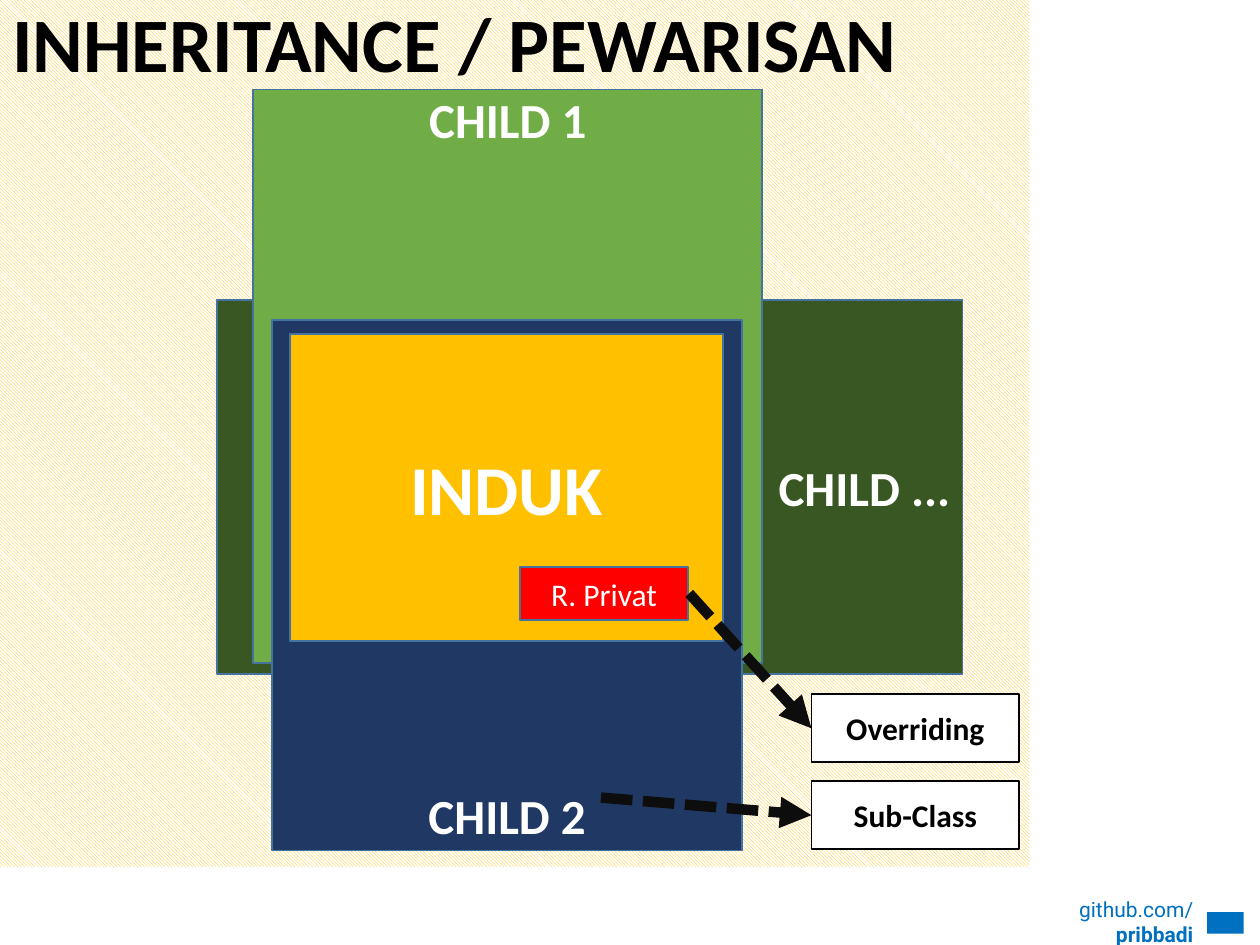
"""Draw the inheritance diagram slide of overlapping class boxes."""
from dataclasses import dataclass, field
from typing import Optional

from lxml.etree import SubElement
from pptx import Presentation
from pptx.dml.color import RGBColor
from pptx.enum.dml import MSO_LINE, MSO_PATTERN
from pptx.enum.shapes import MSO_CONNECTOR as Connector, MSO_SHAPE as Shape
from pptx.enum.text import MSO_ANCHOR as Anchor, PP_ALIGN as Align
from pptx.oxml.ns import qn
from pptx.util import Inches, Pt

COLUMNS, ROWS = 100, 75
WIDTH, HEIGHT = Inches(10), Inches(7.5)
COLORS = {
    "white": "FFFFFF", "black": "000000", "ink": "0D0D0D",
    "amber": "FFC000", "red": "FF0000", "blue": "0070C0",
    "forest": "385723", "leaf": "70AD47", "navy": "203864", "edge": "43739E",
}


@dataclass
class Span:
    text: str
    size: float
    color: str = "white"
    bold: bool = True
    font: str = "Calibri"


@dataclass
class Box:
    column: float
    row: float
    columns: float
    rows: float
    fill: str
    line: Optional[str] = "edge"
    spans: list[Span] = field(default_factory=list)
    align: Align = Align.CENTER
    anchor: Anchor = Anchor.MIDDLE
    inset: float = 0.5
    spacing: float = 1.0
    pattern: Optional[MSO_PATTERN] = None


@dataclass
class Arrow:
    start: tuple[float, float]
    end: tuple[float, float]


def across(columns: float) -> int:
    """Turn grid columns into a length."""
    return round(WIDTH * columns / COLUMNS)


def down(rows: float) -> int:
    """Turn grid rows into a length."""
    return round(HEIGHT * rows / ROWS)


def rgb(name: str) -> RGBColor:
    """Look up a named colour."""
    return RGBColor.from_string(COLORS[name])


def apply(target: object, values: dict) -> None:
    """Set each format value on the target."""
    for name, value in values.items():
        setattr(target, name, value)


def label() -> dict:
    """Give the format of a white note with a black edge."""
    return {"columns": 16.5, "rows": 5.4, "fill": "white", "line": "black"}


def draw_box(page, box: Box) -> None:
    """Draw one rectangle with its text."""
    shape = page.shapes.add_shape(
        Shape.RECTANGLE, across(box.column), down(box.row), across(box.columns), down(box.rows))
    shape.shadow.inherit = False
    if box.pattern:
        shape.fill.patterned()
        shape.fill.pattern = box.pattern
        shape.fill.fore_color.rgb = rgb(box.fill)
        shape.fill.back_color.rgb = rgb("white")
    else:
        shape.fill.solid()
        shape.fill.fore_color.rgb = rgb(box.fill)
    if box.line:
        shape.line.color.rgb = rgb(box.line)
        shape.line.width = Pt(1)
    else:
        shape.line.fill.background()
    frame = shape.text_frame
    apply(frame, {
        "word_wrap": True, "vertical_anchor": box.anchor,
        "margin_left": across(1), "margin_right": across(1),
        "margin_top": down(box.inset), "margin_bottom": down(box.inset)})
    para = frame.paragraphs[0]
    apply(para, {"alignment": box.align, "line_spacing": box.spacing})
    for span in box.spans:
        run = para.add_run()
        run.text = span.text
        apply(run.font, {"name": span.font, "size": Pt(span.size), "bold": span.bold})
        run.font.color.rgb = rgb(span.color)


def draw_arrow(page, arrow: Arrow) -> None:
    """Draw one thick dashed arrow."""
    (left, top), (right, bottom) = arrow.start, arrow.end
    link = page.shapes.add_connector(
        Connector.STRAIGHT, across(left), down(top), across(right), down(bottom))
    link.line.color.rgb = rgb("ink")
    apply(link.line, {"width": Pt(6), "dash_style": MSO_LINE.SQUARE_DOT})
    SubElement(link.line._get_or_add_ln(), qn("a:tailEnd"), type="triangle")
    SubElement(link._element.spPr, qn("a:effectLst"))


BOXES = [
    Box(79, 71.5, 16.7, 3.3, "white", None,
        [Span("github.com/", 12, "blue", False, "Roboto"),
         Span("pribbadi", 12, "blue", True, "Roboto")], Align.RIGHT),
    Box(95.8, 72.4, 2.9, 1.7, "blue", None),
    Box(0, 0, 81.7, 68.8, "amber", None, [Span("INHERITANCE / PEWARISAN", 44, "black")],
        Align.LEFT, Anchor.TOP, spacing=0.9, pattern=MSO_PATTERN.LIGHT_DOWNWARD_DIAGONAL),
    Box(17.2, 23.8, 59.2, 29.7, "forest", spans=[Span("CHILD ...", 28)], align=Align.RIGHT),
    Box(20.1, 7.1, 40.4, 45.5, "leaf", spans=[Span("CHILD 1", 28)], anchor=Anchor.TOP, inset=0),
    Box(21.6, 25.4, 37.3, 42.1, "navy", spans=[Span("CHILD 2", 28)], anchor=Anchor.BOTTOM),
    Box(23, 26.5, 34.4, 24.4, "amber", spans=[Span("INDUK", 40)]),
    Box(41.3, 45, 13.3, 4.2, "red", spans=[Span("R. Privat", 18, bold=False)]),
    Box(64.4, 55.1, spans=[Span("Overriding", 18, "black")], **label()),
    Box(64.4, 62, spans=[Span("Sub-Class", 18, "black")], **label()),
]
ARROWS = [Arrow((54.7, 47.1), (64.4, 57.8)), Arrow((47.7, 63.3), (64.4, 64.7))]


def main() -> None:
    """Build and save the deck."""
    deck = Presentation()
    apply(deck, {"slide_width": WIDTH, "slide_height": HEIGHT})
    page = deck.slides.add_slide(deck.slide_layouts[6])
    for box in BOXES:
        draw_box(page, box)
    for arrow in ARROWS:
        draw_arrow(page, arrow)
    deck.save("out.pptx")


if __name__ == "__main__":
    main()
